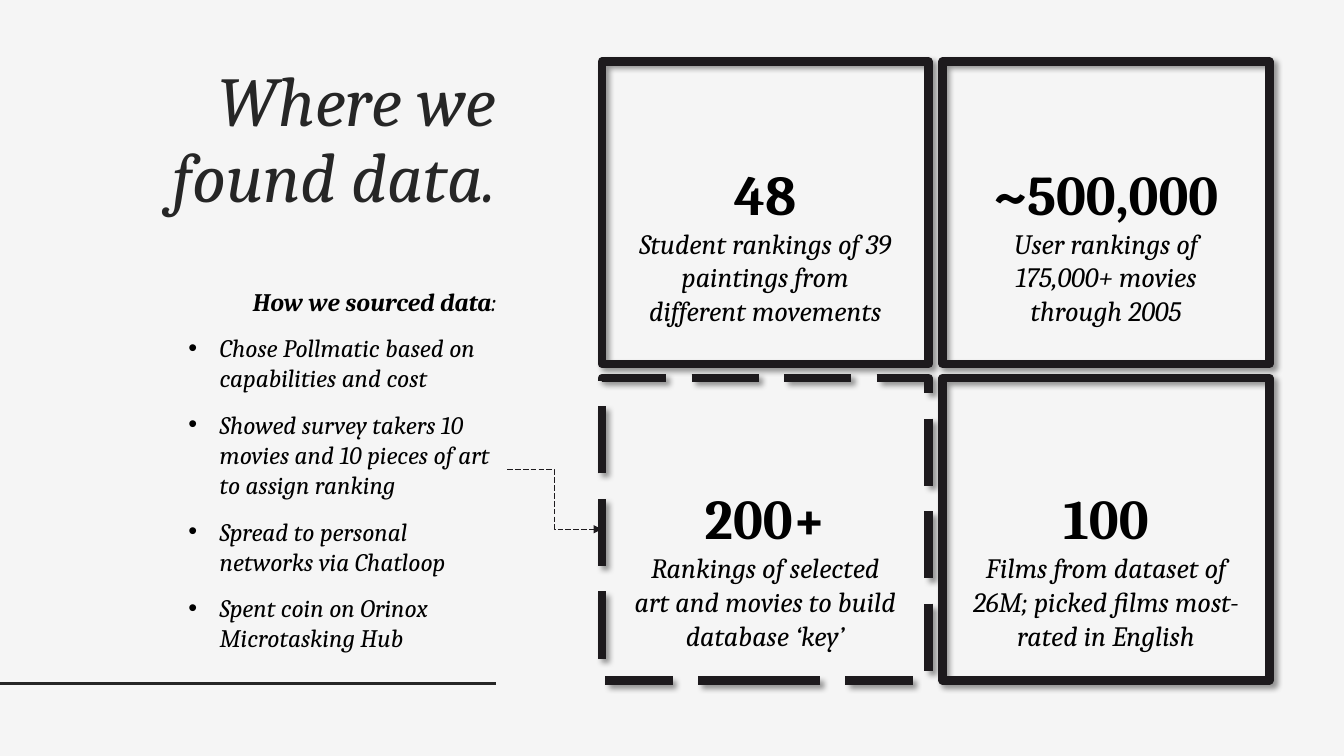
from lxml.etree import SubElement
from pptx import Presentation
from pptx.dml.color import RGBColor
from pptx.enum.dml import MSO_LINE
from pptx.enum.shapes import MSO_CONNECTOR, MSO_SHAPE
from pptx.enum.text import MSO_AUTO_SIZE, PP_ALIGN
from pptx.oxml.ns import qn
from pptx.util import Inches, Pt

FONT = "Cambria"
INK = "1D1A1D"
CHARCOAL = "262626"
BLACK = "000000"

CARD_LEFT, CARD_TOP = 5.97, 0.61
CARD_WIDTH, CARD_HEIGHT = 3.24, 3
COLUMN_STEP, ROW_STEP = 3.38, 3.14
CAPTION_TOPS = (1.53, 4.75)

CARDS = [
    ("48", "Student rankings of 39 paintings from different movements", 2.79, False),
    ("~500,000", "User rankings of 175,000+ movies through 2005", 2.79, False),
    ("200+", "Rankings of selected art and movies to build database ‘key’", 2.79, True),
    ("100", "Films from dataset of 26M; picked films most-rated in English", 3.04, False),
]

SOURCING_STEPS = [
    "Chose Pollmatic based on capabilities and cost",
    "Showed survey takers 10 movies and 10 pieces of art to assign ranking",
    "Spread to personal networks via Chatloop",
    "Spent coin on Orinox Microtasking Hub",
]


def color(value):
    return RGBColor.from_string(value)


def add_text_box(slide, left, top, width, height, grow=True):
    box = slide.shapes.add_textbox(Inches(left), Inches(top), Inches(width), Inches(height))
    frame = box.text_frame
    frame.word_wrap = True
    frame.auto_size = MSO_AUTO_SIZE.SHAPE_TO_FIT_TEXT if grow else MSO_AUTO_SIZE.NONE
    return frame


def add_run(paragraph, text, size, bold=False, italic=True, ink=BLACK):
    run = paragraph.add_run()
    run.text = text
    run.font.name = FONT
    run.font.size = Pt(size)
    run.font.bold = bold
    run.font.italic = italic
    run.font.color.rgb = color(ink)


def style_line(line, ink, width, dashed=False):
    line.color.rgb = color(ink)
    line.width = Pt(width)
    if dashed:
        line.dash_style = MSO_LINE.LONG_DASH


def add_line(slide, kind, start, end, ink, width, dashed=False):
    line = slide.shapes.add_connector(kind, *[Inches(v) for v in (*start, *end)])
    style_line(line.line, ink, width, dashed)
    SubElement(line._element.spPr, qn("a:effectLst"))
    return line


def add_shadow(card):
    card.shadow.inherit = False
    effects = card._element.spPr.find(qn("a:effectLst"))
    shadow = SubElement(effects, qn("a:outerShdw"), blurRad=str(Pt(4)), dist=str(Pt(3)),
                        dir="2700000", algn="tl", rotWithShape="0")
    tint = SubElement(shadow, qn("a:srgbClr"), val=BLACK)
    SubElement(tint, qn("a:alpha"), val="40000")


def add_card(slide, row, column, dashed):
    left = CARD_LEFT + column * COLUMN_STEP
    top = CARD_TOP + row * ROW_STEP
    card = slide.shapes.add_shape(MSO_SHAPE.RECTANGLE, Inches(left), Inches(top),
                                  Inches(CARD_WIDTH), Inches(CARD_HEIGHT))
    card.fill.background()
    style_line(card.line, INK, 6, dashed)
    add_shadow(card)


def add_caption(slide, row, column, figure, description, width):
    left = CARD_LEFT + column * COLUMN_STEP + (CARD_WIDTH - width) / 2
    frame = add_text_box(slide, left, CAPTION_TOPS[row], width, 1.78)
    heading = frame.paragraphs[0]
    heading.alignment = PP_ALIGN.CENTER
    add_run(heading, figure, 40, bold=True, italic=False)
    detail = frame.add_paragraph()
    detail.alignment = PP_ALIGN.CENTER
    add_run(detail, description, 20)


def add_title(slide):
    title = add_text_box(slide, 0.83, 0.61, 4.19, 5.42, grow=False).paragraphs[0]
    title.alignment = PP_ALIGN.RIGHT
    title.line_spacing = 0.9
    add_run(title, "Where we found data.", 50, ink=CHARCOAL)


def add_bullet(paragraph):
    properties = paragraph._p.get_or_add_pPr()
    properties.set("marL", str(Inches(0.31)))
    properties.set("indent", str(-Inches(0.31)))
    SubElement(properties, qn("a:buFont"), typeface="Arial")
    SubElement(properties, qn("a:buChar"), char="•")


def add_sourcing(slide):
    frame = add_text_box(slide, 1.77, 2.79, 3.25, 3.74)
    heading = frame.paragraphs[0]
    heading.alignment = PP_ALIGN.RIGHT
    add_run(heading, "How we sourced data", 18, bold=True)
    add_run(heading, ":", 18)
    for text in SOURCING_STEPS:
        step = frame.add_paragraph()
        step.space_before = Pt(11.5)
        add_bullet(step)
        add_run(step, text, 18)


def add_survey_arrow(slide):
    arrow = add_line(slide, MSO_CONNECTOR.ELBOW, (5.03, 4.66), (5.97, 5.25), INK, 0.5, dashed=True)
    SubElement(arrow.line._get_or_add_ln(), qn("a:tailEnd"), type="triangle")


def main():
    deck = Presentation()
    deck.slide_width, deck.slide_height = Inches(13.33), Inches(7.5)
    slide = deck.slides.add_slide(deck.slide_layouts[6])
    slide.background.fill.solid()
    slide.background.fill.fore_color.rgb = color("F5F5F5")

    add_line(slide, MSO_CONNECTOR.STRAIGHT, (0, 6.78), (4.92, 6.78), CHARCOAL, 2)
    add_title(slide)
    for index, (figure, description, width, dashed) in enumerate(CARDS):
        row, column = divmod(index, 2)
        add_card(slide, row, column, dashed)
        add_caption(slide, row, column, figure, description, width)
    add_sourcing(slide)
    add_survey_arrow(slide)
    deck.save("out.pptx")


if __name__ == "__main__":
    main()
